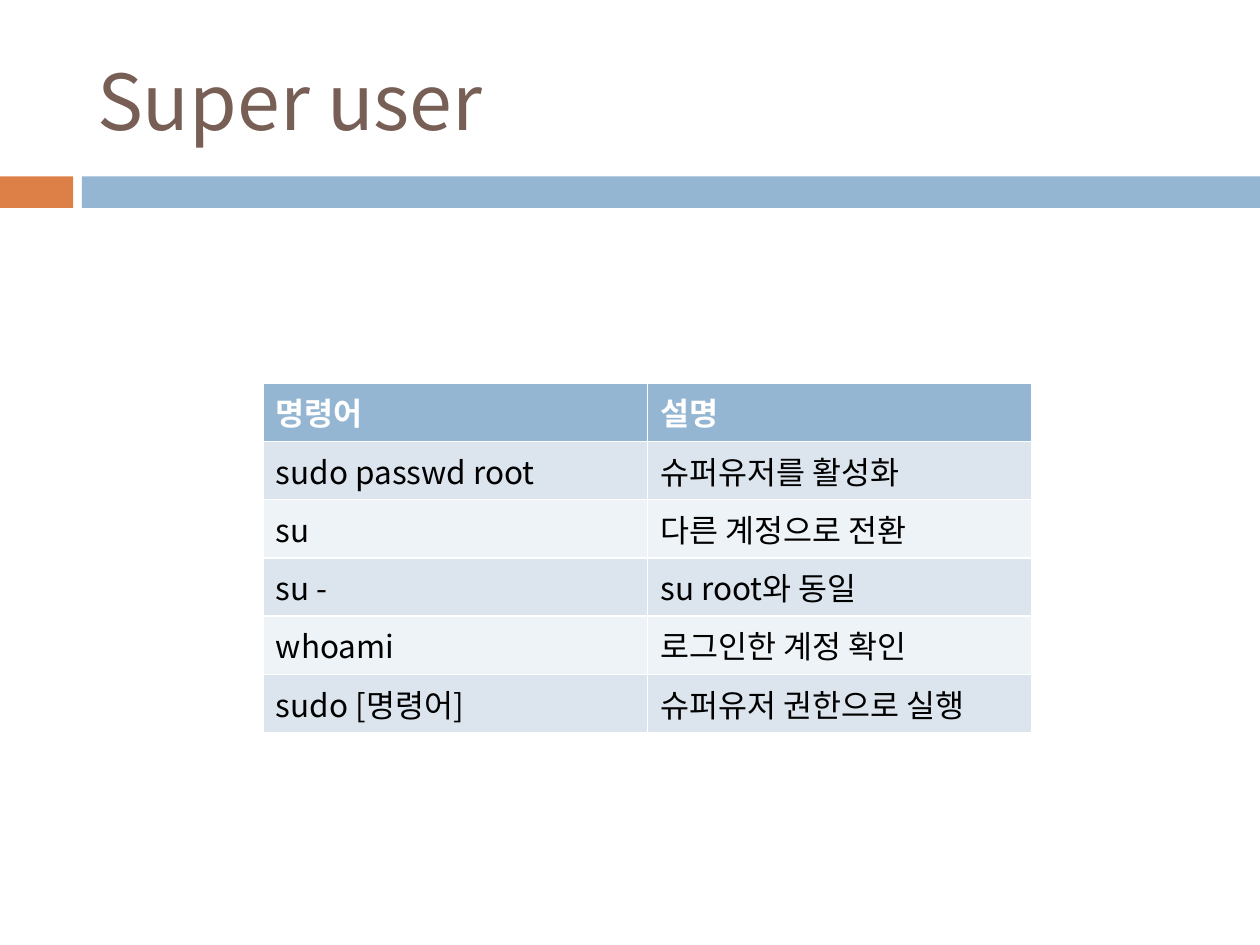
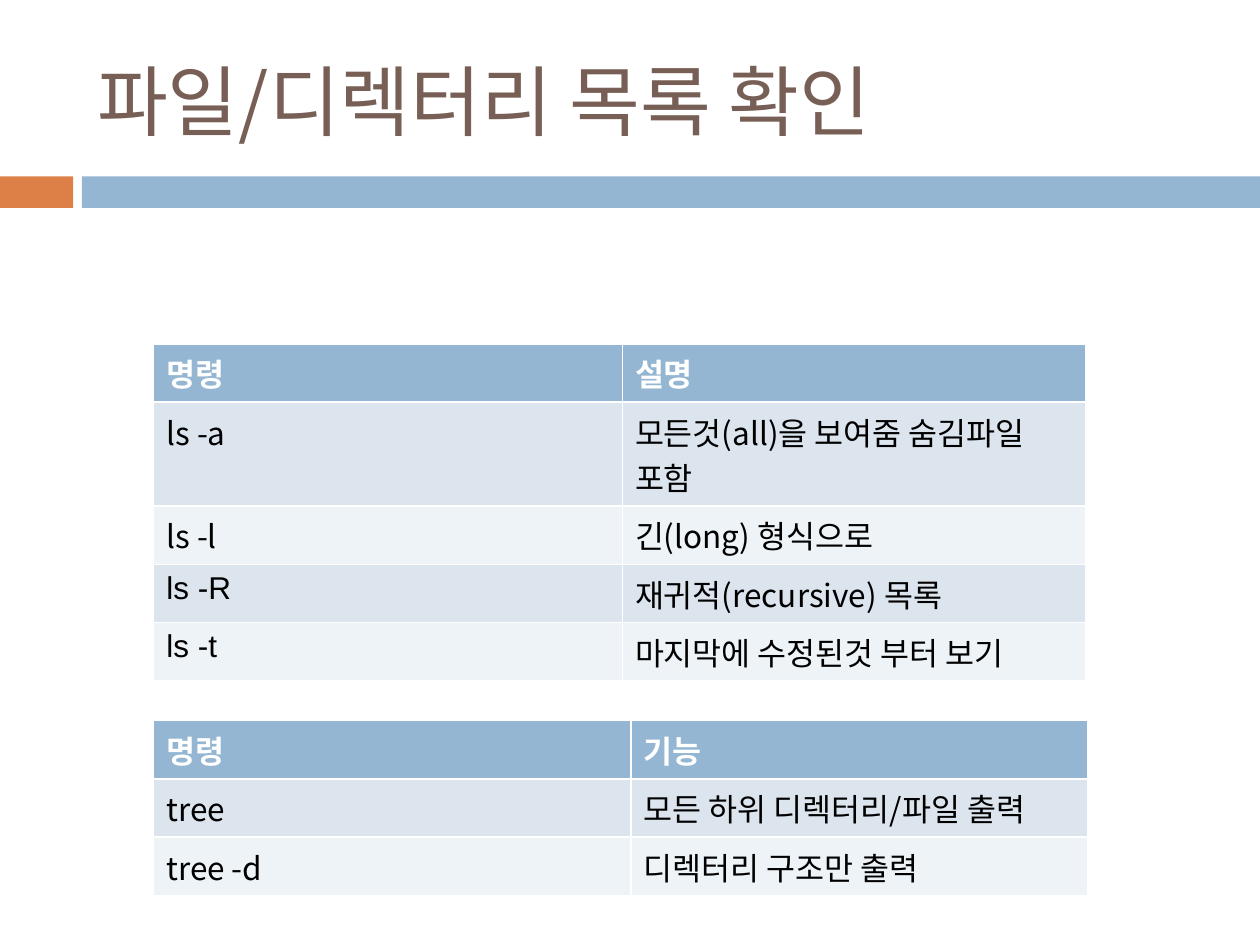
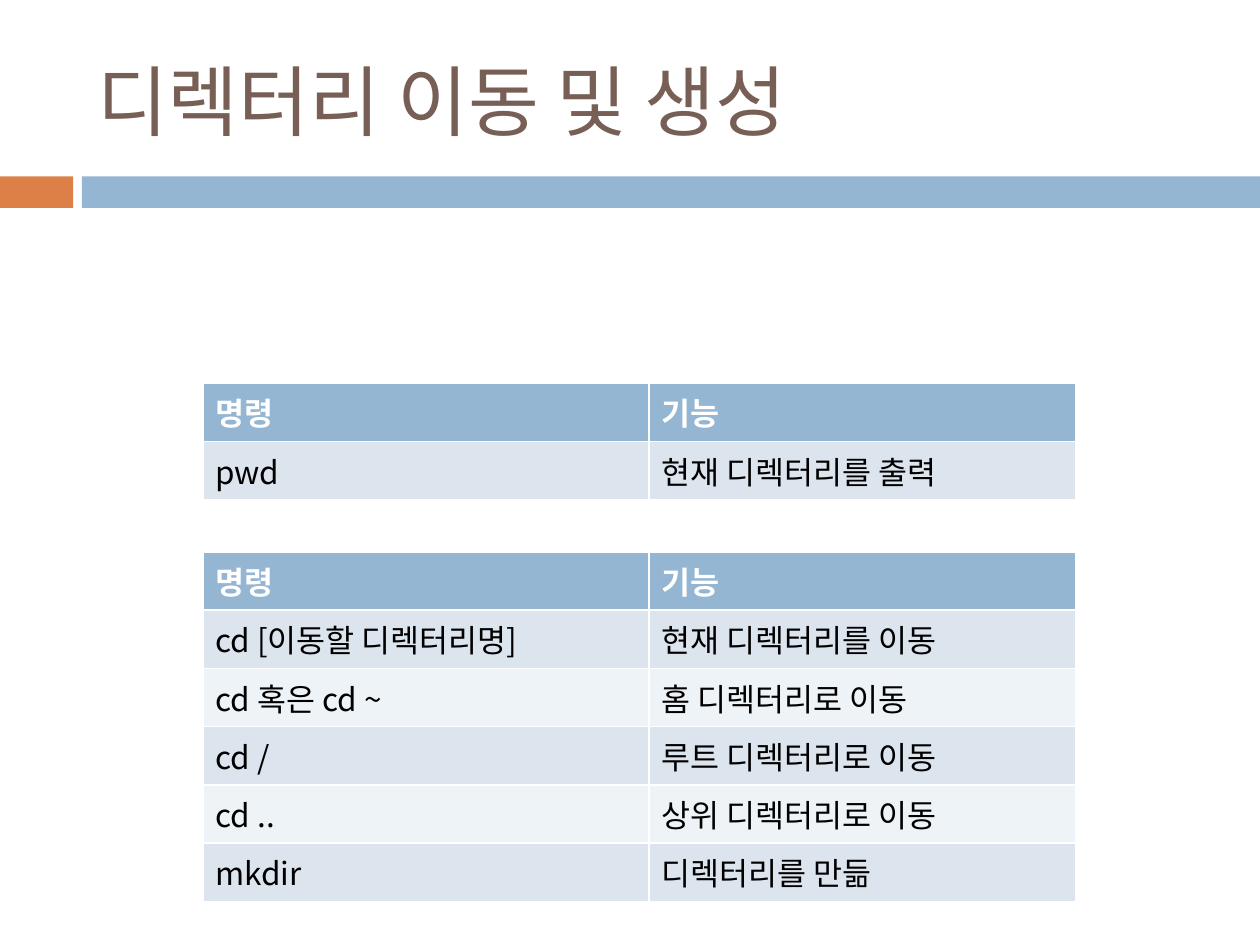
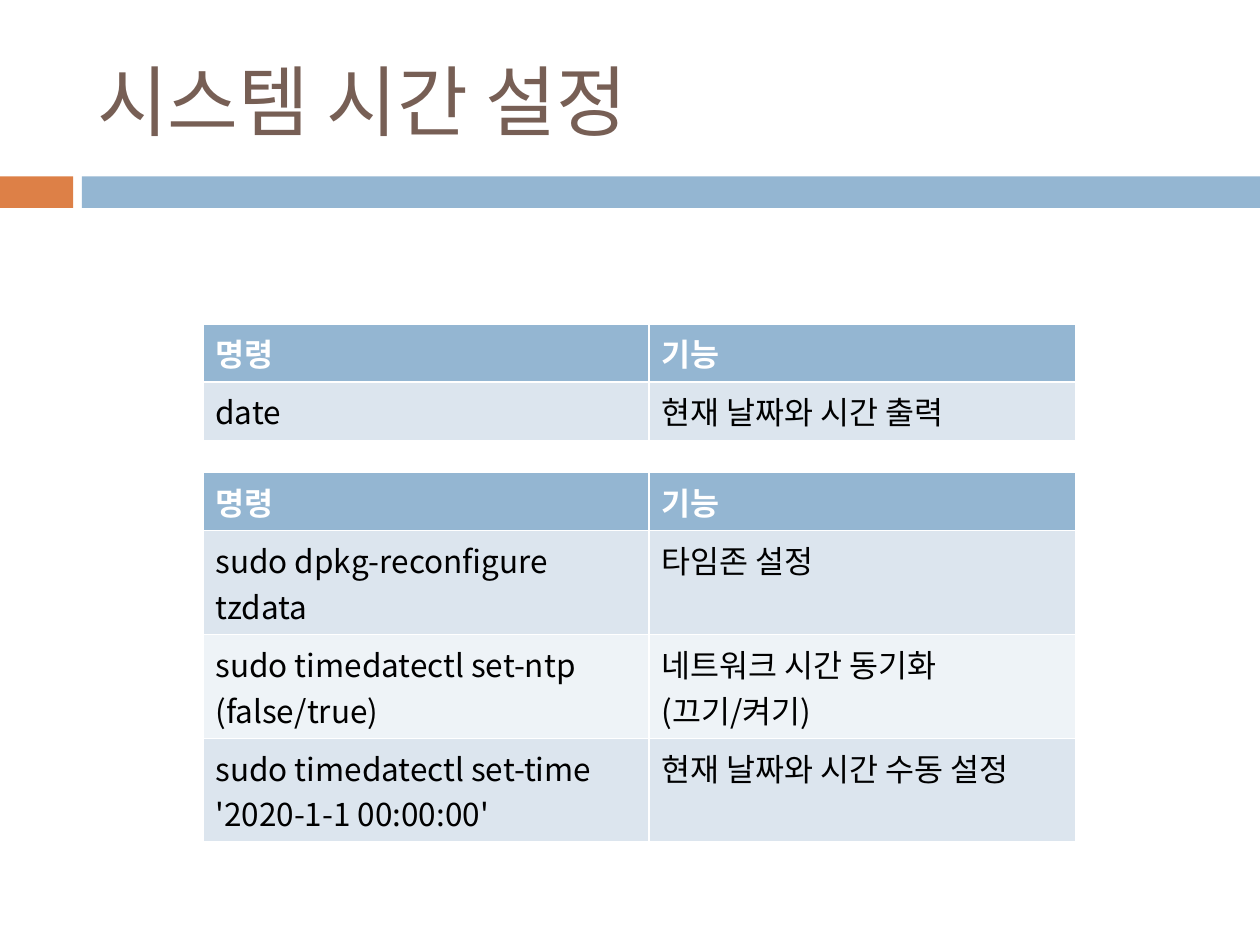
"""Build four slides of Linux command tables under a shared title and band."""
import lxml.etree
import pptx
import pptx.dml.color
import pptx.enum.shapes
import pptx.enum.text
import pptx.oxml.ns
import pptx.util

THEME = {
    "title": "775F55", "accent": "DD8047", "band": "94B6D2",
    "head": "FFFFFF", "body": "000000", "rows": ["DCE5EE", "EEF3F7"],
    "title_size": 44, "text_size": 18,
    "font": "Noto Sans CJK KR", "alt_font": "Arial",
}
ALT_FONT_CELLS = {"ls -R", "ls -t"}

prs = pptx.Presentation()
prs.slide_width = pptx.util.Inches(10)
prs.slide_height = pptx.util.Inches(7.5)
COL = prs.slide_width / 100
ROW = prs.slide_height / 75


def box(x, y, w, h):
    """Turn grid columns and rows into lengths."""
    return int(x * COL), int(y * ROW), int(w * COL), int(h * ROW)


def style(tf, size, color, bold=False, font=THEME["font"]):
    """Format every run of a text frame."""
    values = {"size": pptx.util.Pt(size), "bold": bold, "name": font}
    for p in tf.paragraphs:
        p.alignment = pptx.enum.text.PP_ALIGN.LEFT
        for r in p.runs:
            for name, value in values.items():
                setattr(r.font, name, value)
            r.font.color.rgb = pptx.dml.color.RGBColor.from_string(color)
            ea = lxml.etree.SubElement(r._r.get_or_add_rPr(), pptx.oxml.ns.qn("a:ea"))
            ea.set("typeface", font)


BANDS = [(0, 5.8, THEME["accent"]), (6.5, 93.5, THEME["band"])]

SLIDES = [
    ("Super user", [
        (20.9, 30.4, 24.3, [30.5, 30.5], [
            ("명령어", "설명"),
            ("sudo passwd root", "슈퍼유저를 활성화"),
            ("su", "다른 계정으로 전환"),
            ("su -", "su root와 동일"),
            ("whoami", "로그인한 계정 확인"),
            ("sudo [명령어]", "슈퍼유저 권한으로 실행"),
        ]),
    ]),
    ("파일/디렉터리 목록 확인", [
        (12.2, 27.3, 23.2, [37.2, 36.8], [
            ("명령", "설명"),
            ("ls -a", "모든것(all)을 보여줌 숨김파일 포함"),
            ("ls -l", "긴(long) 형식으로"),
            ("ls -R", "재귀적(recursive) 목록"),
            ("ls -t", "마지막에 수정된것 부터 보기"),
        ]),
        (12.2, 57.2, 12.2, [37.9, 36.2], [
            ("명령", "기능"),
            ("tree", "모든 하위 디렉터리/파일 출력"),
            ("tree -d", "디렉터리 구조만 출력"),
        ]),
    ]),
    ("디렉터리 이동 및 생성", [
        (16.1, 30.4, 8.1, [35.4, 33.9], [
            ("명령", "기능"),
            ("pwd", "현재 디렉터리를 출력"),
        ]),
        (16.1, 43.8, 24.3, [35.4, 33.9], [
            ("명령", "기능"),
            ("cd [이동할 디렉터리명]", "현재 디렉터리를 이동"),
            ("cd 혹은 cd ~", "홈 디렉터리로 이동"),
            ("cd /", "루트 디렉터리로 이동"),
            ("cd ..", "상위 디렉터리로 이동"),
            ("mkdir", "디렉터리를 만듦"),
        ]),
    ]),
    ("시스템 시간 설정", [
        (16.1, 25.7, 8.1, [35.4, 33.9], [
            ("명령", "기능"),
            ("date", "현재 날짜와 시간 출력"),
        ]),
        (16.1, 37.5, 25.1, [35.4, 33.9], [
            ("명령", "기능"),
            ("sudo dpkg-reconfigure tzdata", "타임존 설정"),
            ("sudo timedatectl set-ntp (false/true)", "네트워크 시간 동기화\n(끄기/켜기)"),
            ("sudo timedatectl set-time\n'2020-1-1 00:00:00'", "현재 날짜와 시간 수동 설정"),
        ]),
    ]),
]

for title, tables in SLIDES:
    s = prs.slides.add_slide(prs.slide_layouts[5])
    for x, w, color in BANDS:
        sp = s.shapes.add_shape(pptx.enum.shapes.MSO_SHAPE.RECTANGLE, *box(x, 14, w, 2.5))
        sp.shadow.inherit = False
        sp.fill.solid()
        sp.fill.fore_color.rgb = pptx.dml.color.RGBColor.from_string(color)
        sp.line.fill.background()

    sp = s.shapes.title
    sp.left, sp.top, sp.width, sp.height = box(6.7, 2.5, 89.2, 10.8)
    tf = sp.text_frame
    tf.text = title
    tf.auto_size = pptx.enum.text.MSO_AUTO_SIZE.NONE
    tf.vertical_anchor = pptx.enum.text.MSO_ANCHOR.MIDDLE
    style(tf, THEME["title_size"], THEME["title"])

    for x, y, h, widths, rows in tables:
        frame = s.shapes.add_table(len(rows), len(widths), *box(x, y, sum(widths), h))
        table = frame.table
        for column, width in zip(table.columns, widths):
            column.width = int(width * COL)
        for i, texts in enumerate(rows):
            table.rows[i].height = int(4.06 * ROW)
            head = i == 0
            fill = THEME["band"] if head else THEME["rows"][(i - 1) % 2]
            for j, text in enumerate(texts):
                cell = table.cell(i, j)
                cell.text = text
                cell.fill.solid()
                cell.fill.fore_color.rgb = pptx.dml.color.RGBColor.from_string(fill)
                font = THEME["alt_font" if text in ALT_FONT_CELLS else "font"]
                style(cell.text_frame, THEME["text_size"],
                      THEME["head" if head else "body"], head, font)
        frame.height = int(h * ROW)

prs.save("out.pptx")
